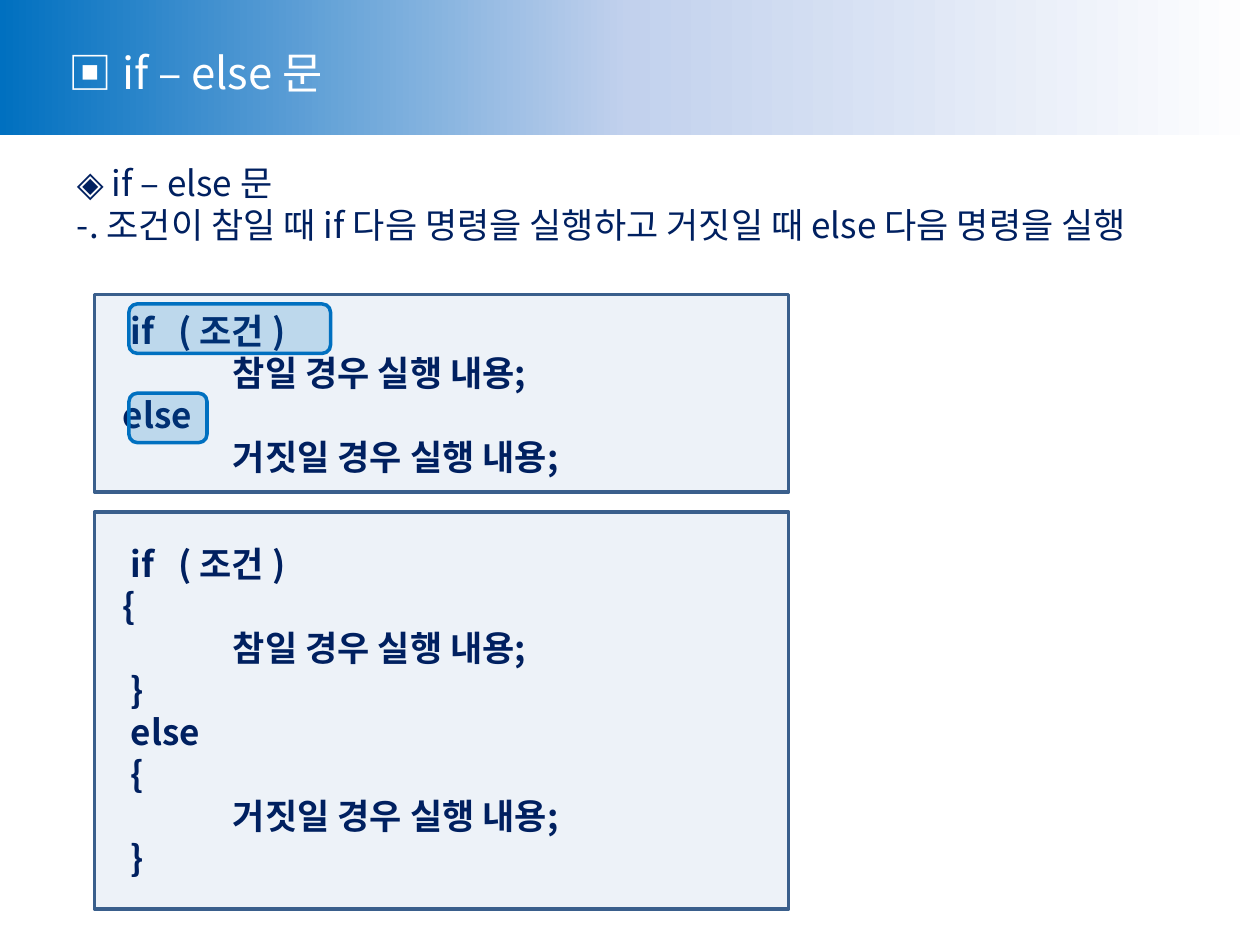
from copy import deepcopy

from pptx import Presentation
from pptx.dml.color import RGBColor
from pptx.enum.shapes import MSO_SHAPE
from pptx.enum.text import MSO_ANCHOR, MSO_AUTO_SIZE, PP_ALIGN
from pptx.oxml.ns import qn
from pptx.oxml.xmlchemy import OxmlElement
from pptx.util import Pt

FONT = "Noto Sans CJK KR"
NAVY, BLUE, WHITE = "002060", "0070C0", "FFFFFF"

SHORT_FORM = """   if   ( 조건 )
\t참일 경우 실행 내용;
  else
\t거짓일 경우 실행 내용;"""

BLOCK_FORM = """   if   ( 조건 )
  {
\t참일 경우 실행 내용;
   }
   else
   {
\t거짓일 경우 실행 내용;
   }"""


def rgb(value):
    return RGBColor.from_string(value)


def add_tab_stop(p, position):
    tabs = OxmlElement("a:tabLst")
    tab = OxmlElement("a:tab")
    tab.set("pos", str(Pt(position)))
    tab.set("algn", "l")
    tabs.append(tab)
    p._p.get_or_add_pPr().append(tabs)


def write(tf, text, size, color, bold=False):
    tf.text = text
    for p in tf.paragraphs:
        p.alignment = PP_ALIGN.LEFT
        p.line_spacing = Pt(size * 1.2)
        if p.text.startswith("\t"):
            add_tab_stop(p, 72)
        for r in p.runs:
            font = r.font
            font.name, font.size, font.bold = FONT, Pt(size), bold
            font.color.rgb = rgb(color)
            font._element.set("kern", "0")
            ea = OxmlElement("a:ea")
            ea.set("typeface", FONT)
            font._element.find(qn("a:latin")).addnext(ea)


def add_text(slide, box, text, size, color, wrap=True, margin_right=7.2):
    tf = slide.shapes.add_textbox(*map(Pt, box)).text_frame
    tf.word_wrap = wrap
    tf.auto_size = MSO_AUTO_SIZE.SHAPE_TO_FIT_TEXT
    tf.margin_right = Pt(margin_right)
    write(tf, text, size, color)


def add_tinted(slide, kind, box, fill, opacity, line):
    """Add an outlined shape whose fill lets the slide show through."""
    s = slide.shapes.add_shape(kind, *map(Pt, box))
    s.shadow.inherit = False
    s.fill.solid()
    s.fill.fore_color.rgb = rgb(fill)
    alpha = OxmlElement("a:alpha")
    alpha.set("val", str(opacity * 1000))
    s._element.spPr.find(qn("a:solidFill"))[0].append(alpha)
    s.line.color.rgb = rgb(line)
    s.line.width = Pt(2)
    return s


def add_code(slide, top, height, code):
    s = add_tinted(slide, MSO_SHAPE.RECTANGLE, (54, top, 396.7, height),
                   "4F81BD", 10, "3A5F8C")
    s.text_frame.vertical_anchor = MSO_ANCHOR.MIDDLE
    write(s.text_frame, code, 20, NAVY, bold=True)


def add_highlight(slide, top, width):
    add_tinted(slide, MSO_SHAPE.ROUNDED_RECTANGLE, (73.7, top, width, 28.2),
               BLUE, 20, BLUE)


def add_header(slide, width, height, colors):
    """Add a band that fades from left to right through evenly spaced colors."""
    s = slide.shapes.add_shape(MSO_SHAPE.RECTANGLE, 0, 0, Pt(width), Pt(height))
    s.shadow.inherit = False
    s.line.fill.background()
    s.fill.gradient()
    s.fill.gradient_angle = 0
    stops = s._element.spPr.find(qn("a:gradFill")).find(qn("a:gsLst"))
    while len(stops) < len(colors):
        stops.append(deepcopy(stops[0]))
    for i, (stop, color) in enumerate(zip(s.fill.gradient_stops, colors)):
        stop.position = i / (len(colors) - 1)
        stop.color.rgb = rgb(color)


def main():
    prs = Presentation()
    prs.slide_width, prs.slide_height = Pt(720), Pt(540)
    slide = prs.slides.add_slide(prs.slide_layouts[6])

    add_header(slide, 720, 77, [BLUE, "C2D1ED", WHITE])
    add_text(slide, (32.2, 22.5, 171.4, 37.2), "▣ if – else 문", 25, WHITE,
             wrap=False)
    add_text(slide, (32.4, 88.5, 651, 79.9),
             " ◈ if – else 문\n"
             " -. 조건이 참일 때 if 다음 명령을 실행하고 거짓일 때 else 다음 명령을 실행",
             20, NAVY, margin_right=21.6)
    add_code(slide, 168.2, 113, SHORT_FORM)
    add_highlight(slide, 173.7, 115.2)
    add_highlight(slide, 224.7, 44.6)
    add_code(slide, 292.6, 226.8, BLOCK_FORM)

    prs.save("out.pptx")


if __name__ == "__main__":
    main()
